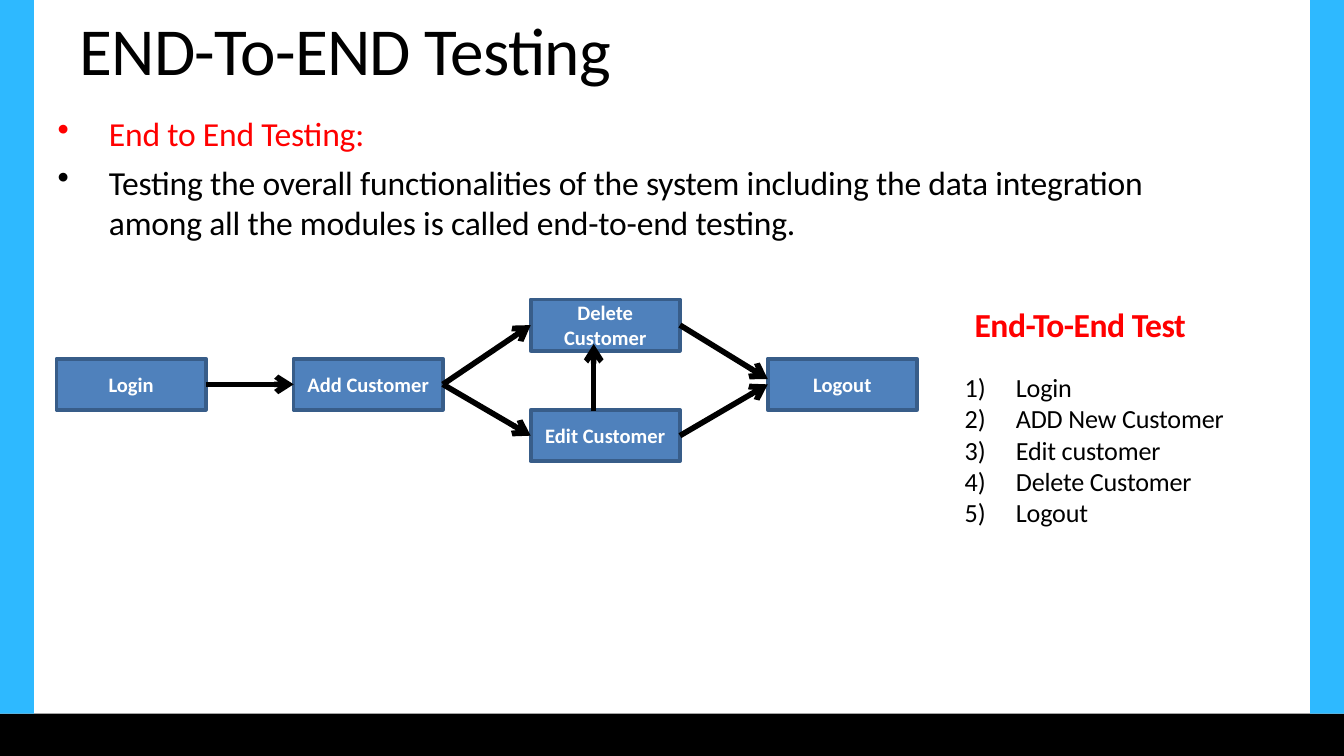
from dataclasses import dataclass

from lxml.etree import SubElement
from pptx import Presentation
from pptx.dml.color import RGBColor
from pptx.enum.shapes import MSO_CONNECTOR as Line, MSO_SHAPE as Shape
from pptx.enum.text import MSO_ANCHOR as Anchor, MSO_AUTO_SIZE as AutoSize, PP_ALIGN as Align
from pptx.oxml.ns import qn
from pptx.util import Cm, Pt

FONT = "Calibri"
BLACK, WHITE, RED = "000000", "FFFFFF", "FF0000"
SKY, BOX_FILL, BOX_EDGE = "2EB9FF", "4F81BC", "385D89"
SLIDE_W, SLIDE_H = 25.4, 14.29
FOOTER_H, SIDE_W = 0.8, 0.64
BOX_W, BOX_H = 2.82, 0.97
BOX_LEFT, COLUMN_STEP = 1.07, 4.48
LEFT, RIGHT = 1, 3


@dataclass
class Step:
    name: str
    column: int
    top: float


@dataclass
class Flow:
    start: str
    end: str
    end_drop: float = 0  # offset of the tip from the middle of the side


STEPS = [
    Step("Login", 0, 6.78),
    Step("Add Customer", 1, 6.78),
    Step("Delete Customer", 2, 5.66),
    Step("Edit Customer", 2, 7.75),
    Step("Logout", 3, 6.78),
]
FLOWS = [
    Flow("Login", "Add Customer"),
    Flow("Add Customer", "Delete Customer"),
    Flow("Add Customer", "Edit Customer"),
    Flow("Delete Customer", "Logout", -0.1),
    Flow("Edit Customer", "Logout"),
]


def rgb(value: str) -> RGBColor:
    return RGBColor.from_string(value)


def style(paragraph, size: float, color: str, bold: bool = False, spacing: int = 0) -> None:
    for run in paragraph.runs:
        font = run.font
        font.name, font.size, font.bold = FONT, Pt(size), bold
        font.color.rgb = rgb(color)
        if spacing:
            run._r.get_or_add_rPr().set("spc", str(spacing))


def set_frame(frame, side: float = 0, top: float = 0.03) -> None:
    frame.word_wrap = True
    frame.auto_size = AutoSize.NONE
    frame.margin_left = frame.margin_right = Cm(side)
    frame.margin_top, frame.margin_bottom = Cm(top), 0


def add_bullet(paragraph, tag: str, **attributes: str) -> None:
    properties = paragraph._p.get_or_add_pPr()
    properties.set("marL", str(Cm(0.99)))
    properties.set("indent", str(Cm(-0.97)))
    SubElement(properties, qn(tag), **attributes)


def add_text(slide, left: float, top: float, width: float, height: float, text: str, inset: float = 0.03):
    frame = slide.shapes.add_textbox(Cm(left), Cm(top), Cm(width), Cm(height)).text_frame
    set_frame(frame, top=inset)
    frame.text = text
    return frame.paragraphs


def add_rect(slide, left: float, top: float, width: float, height: float, fill: str):
    rect = slide.shapes.add_shape(Shape.RECTANGLE, Cm(left), Cm(top), Cm(width), Cm(height))
    rect.shadow.inherit = False
    rect.fill.solid()
    rect.fill.fore_color.rgb = rgb(fill)
    rect.line.fill.background()
    return rect


def add_step(slide, step: Step):
    box = add_rect(slide, BOX_LEFT + step.column * COLUMN_STEP, step.top, BOX_W, BOX_H, BOX_FILL)
    box.line.color.rgb = rgb(BOX_EDGE)
    box.line.width = Pt(2)
    frame = box.text_frame
    set_frame(frame, side=0.2, top=0)
    frame.vertical_anchor = Anchor.MIDDLE
    frame.text = step.name
    frame.paragraphs[0].alignment = Align.CENTER
    style(frame.paragraphs[0], 11, WHITE, bold=True)
    return box


def add_arrow(slide, x1: int, y1: int, x2: int, y2: int):
    arrow = slide.shapes.add_connector(Line.STRAIGHT, x1, y1, x2, y2)
    arrow.line.color.rgb = rgb(BLACK)
    arrow.line.width = Pt(3)
    SubElement(arrow.line._get_or_add_ln(), qn("a:tailEnd"), type="arrow", w="med", len="med")
    SubElement(arrow._element.spPr, qn("a:effectLst"))
    return arrow


def add_flow(slide, flow: Flow, boxes: dict) -> None:
    start, end = boxes[flow.start], boxes[flow.end]
    arrow = add_arrow(
        slide,
        start.left + start.width, start.top + start.height // 2,
        end.left, end.top + end.height // 2 + Cm(flow.end_drop),
    )
    arrow.begin_connect(start, RIGHT)
    if not flow.end_drop:
        arrow.end_connect(end, LEFT)


def main() -> None:
    prs = Presentation()
    prs.slide_width, prs.slide_height = Cm(SLIDE_W), Cm(SLIDE_H)
    slide = prs.slides.add_slide(prs.slide_layouts[5])

    # Footer and side bands
    side_h = SLIDE_H - FOOTER_H
    add_rect(slide, 0, side_h, SLIDE_W, FOOTER_H, BLACK)
    for left in (SLIDE_W - SIDE_W, 0):
        add_rect(slide, left, 0, SIDE_W, side_h, SKY)

    # Title
    title = slide.shapes.title
    title.left, title.top, title.width, title.height = Cm(1.5), Cm(0.13), Cm(10.8), Cm(1.6)
    set_frame(title.text_frame)
    title.text_frame.vertical_anchor = Anchor.TOP
    title.text_frame.text = "END-To-END Testing"
    heading = title.text_frame.paragraphs[0]
    heading.alignment = Align.LEFT
    style(heading, 36, BLACK, spacing=-40)

    # Definition
    definition = add_text(
        slide, 1.07, 1.96, 20.9, 2.67,
        "End to End Testing:\n"
        "Testing the overall functionalities of the system including the data integration "
        "among all the modules is called end-to-end testing.",
        inset=0.18,
    )
    for paragraph, color in zip(definition, (RED, BLACK)):
        add_bullet(paragraph, "a:buChar", char="•")
        style(paragraph, 18, color, spacing=-10)
    definition[1].space_before = Pt(4.3)

    # Flow diagram
    boxes = {step.name: add_step(slide, step) for step in STEPS}
    for flow in FLOWS:
        add_flow(slide, flow, boxes)
    add_arrow(slide, Cm(11.22), Cm(7.77), Cm(11.22), Cm(6.5))

    # Test steps
    (test_heading,) = add_text(slide, 18.42, 5.72, 4.4, 0.84, "End-To-End Test")
    style(test_heading, 18, RED, bold=True, spacing=-25)
    test_steps = add_text(
        slide, 18.21, 6.99, 5, 3.05,
        "Login\nADD New Customer\nEdit customer\nDelete Customer\nLogout",
    )
    for paragraph in test_steps:
        add_bullet(paragraph, "a:buAutoNum", type="arabicParenR")
        style(paragraph, 14, BLACK, spacing=-10)

    prs.save("out.pptx")


if __name__ == "__main__":
    main()
